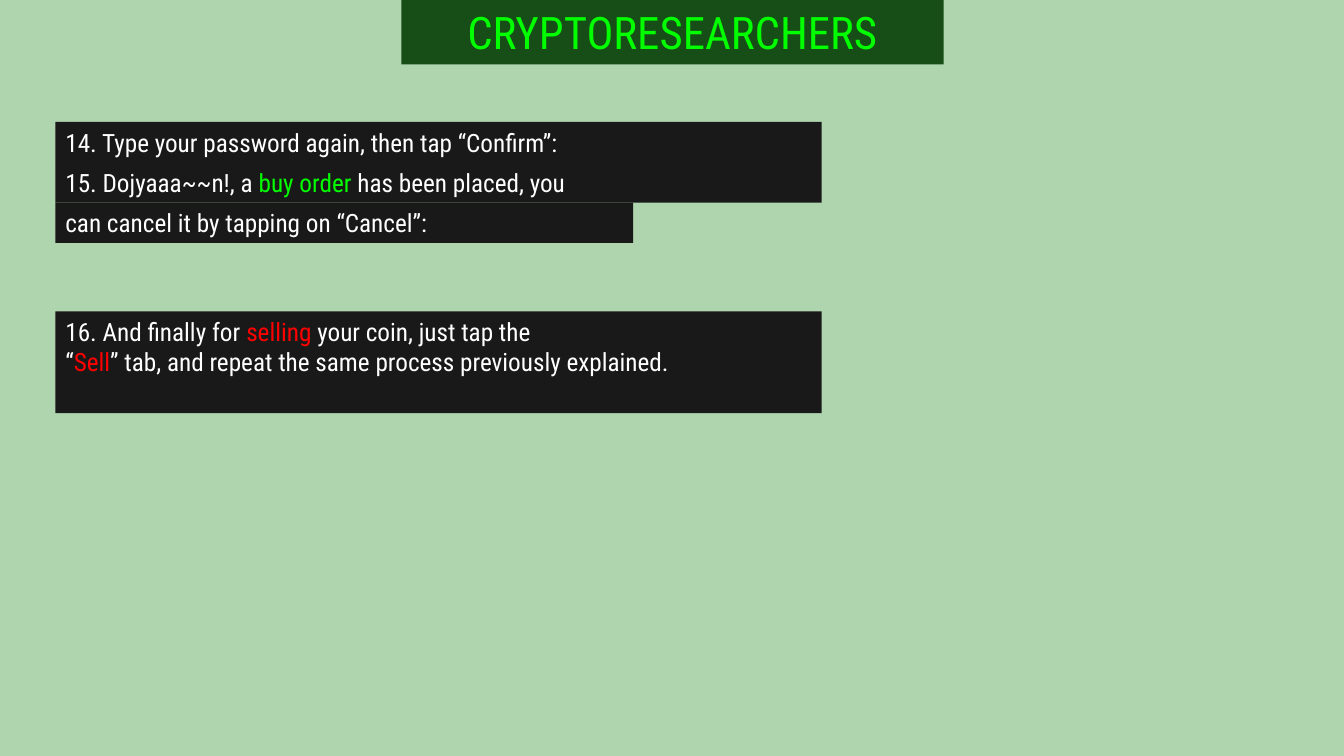
from dataclasses import dataclass

from pptx import Presentation
from pptx.dml.color import RGBColor
from pptx.enum.text import MSO_ANCHOR, PP_ALIGN
from pptx.util import Inches, Pt


@dataclass(frozen=True)
class Theme:
    font: str = "Roboto Condensed"
    title_size: int = 32
    body_size: int = 18
    background: str = "AED5AE"
    title_fill: str = "174D17"
    step_fill: str = "1A1919"
    text: str = "FFFFFF"
    buy: str = "02FF00"
    sell: str = "FF0000"


THEME = Theme()
LINE_HEIGHT = 0.4


def add_band(slide, box, fill, paragraphs, size, align=PP_ALIGN.LEFT):
    """Draw a filled text box; each paragraph is a list of (text, colour)."""
    s = slide.shapes.add_textbox(*(Inches(v) for v in box))
    s.fill.solid()
    s.fill.fore_color.rgb = RGBColor.from_string(fill)
    tf = s.text_frame
    tf.word_wrap = True
    tf.vertical_anchor = MSO_ANCHOR.TOP
    for i, runs in enumerate(paragraphs):
        p = tf.add_paragraph() if i else tf.paragraphs[0]
        p.alignment = align
        for text, colour in runs:
            r = p.add_run()
            r.text = text
            r.font.name = THEME.font
            r.font.size = Pt(size)
            r.font.color.rgb = RGBColor.from_string(colour)


def add_title(slide, box):
    add_band(slide, box, THEME.title_fill, [[("CRYPTORESEARCHERS", THEME.buy)]],
             THEME.title_size, PP_ALIGN.CENTER)


def add_buy_steps(slide, box):
    """Stack one-line bands; the last one is narrower."""
    left, top, width, height = box
    lines = [
        (width, [("14. Type your password again, then tap “Confirm”:", THEME.text)]),
        (width, [("15. Dojyaaa~~n!, a ", THEME.text), ("buy order ", THEME.buy),
                 ("has been placed, you", THEME.text)]),
        (width - 1.87, [("can cancel it by tapping on “Cancel”:", THEME.text)]),
    ]
    step = height / len(lines)
    for i, (line_width, runs) in enumerate(lines):
        add_band(slide, (left, top + i * step, line_width, step),
                 THEME.step_fill, [runs], THEME.body_size)


def add_sell_step(slide, box):
    add_band(slide, box, THEME.step_fill, [
        [("16. And finally for ", THEME.text), ("selling", THEME.sell),
         (" your coin, just tap the", THEME.text)],
        [("“", THEME.text), ("Sell", THEME.sell),
         ("” tab, and repeat the same process previously explained.", THEME.text)],
    ], THEME.body_size)


def main():
    prs = Presentation()
    prs.slide_width, prs.slide_height = Inches(13.33), Inches(7.5)
    slide = prs.slides.add_slide(prs.slide_layouts[6])
    slide.background.fill.solid()
    slide.background.fill.fore_color.rgb = RGBColor.from_string(THEME.background)

    # Title banner, then the two blocks of instructions
    add_title(slide, (3.98, 0, 5.38, 0.64))
    add_buy_steps(slide, (0.55, 1.21, 7.6, 3 * LINE_HEIGHT))
    add_sell_step(slide, (0.55, 3.09, 7.6, 1.01))
    prs.save("out.pptx")


if __name__ == "__main__":
    main()
